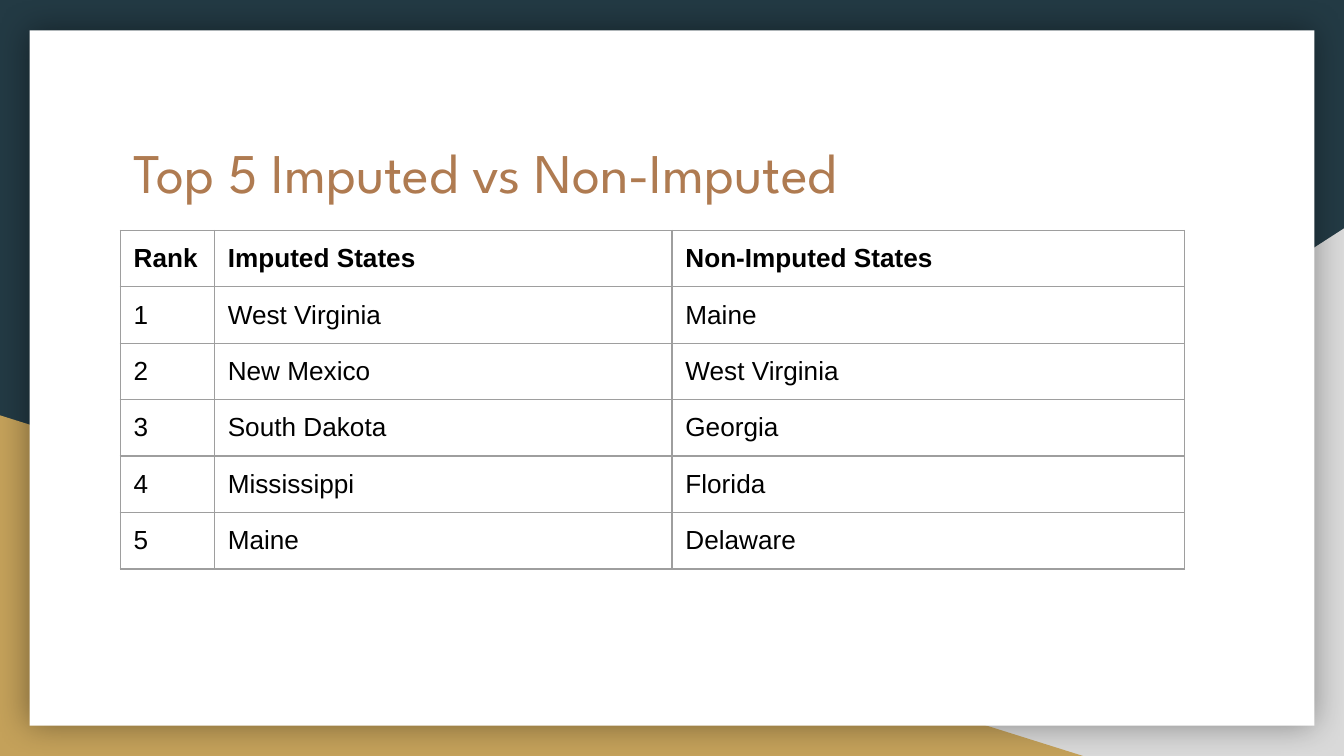
from lxml.etree import SubElement
from pptx import Presentation
from pptx.dml.color import RGBColor
from pptx.enum.shapes import MSO_SHAPE
from pptx.enum.text import MSO_ANCHOR, PP_ALIGN
from pptx.oxml import parse_xml
from pptx.oxml.ns import nsdecls, qn
from pptx.util import Pt

PX = 4572  # 200 px to the inch
PAGE = (0, 0, 2000, 1125)
MARGIN = 20
COLUMNS = (140, 681, 763)
ROW_HEIGHT = 84
ROWS = (
    ("Rank", "Imputed States", "Non-Imputed States"),
    ("1", "West Virginia", "Maine"),
    ("2", "New Mexico", "West Virginia"),
    ("3", "South Dakota", "Georgia"),
    ("4", "Mississippi", "Florida"),
    ("5", "Maine", "Delaware"),
)


def color(value):
    return RGBColor.from_string(value)


def emu(*lengths):
    return [length * PX for length in lengths]


def format_text(para, font, size, fill, bold=False):
    for span in para.runs:
        span.font.name = font
        span.font.size = Pt(size)
        span.font.bold = bold
        span.font.color.rgb = color(fill)


def add_plain_shape(page, kind, box, fill):
    shape = page.shapes.add_shape(kind, *emu(*box))
    shape.shadow.inherit = False
    shape.fill.solid()
    shape.fill.fore_color.rgb = color(fill)
    shape.line.fill.background()
    return shape


def add_glow_shadow(shape, blur, opacity):
    effects = shape._element.spPr.find(qn("a:effectLst"))
    shadow = SubElement(effects, qn("a:outerShdw"), blurRad=str(Pt(blur)),
                        dist="0", dir="0", algn="ctr", rotWithShape="0")
    tint = SubElement(shadow, qn("a:srgbClr"), val="000000")
    SubElement(tint, qn("a:alpha"), val=str(opacity * 1000))


def add_backdrop(page, box):
    left, top, width, height = box
    page.background.fill.solid()
    page.background.fill.fore_color.rgb = color("233A44")

    # Corner triangles sit on the bottom edge
    right_corner = add_plain_shape(
        page, MSO_SHAPE.RIGHT_TRIANGLE,
        (left + width - 1216, top + height - 785, 1216, 785), "D9D9D9")
    right_corner._element.spPr.xfrm.set("flipH", "1")
    add_plain_shape(page, MSO_SHAPE.RIGHT_TRIANGLE,
                    (left, top + height - 507, 1612, 507), "C4A15A")

    # White card
    card = add_plain_shape(page, MSO_SHAPE.RECTANGLE,
                           (left + 44, top + 45, width - 88, height - 90), "FFFFFF")
    add_glow_shadow(card, blur=18, opacity=40)


def place_title(page, box, text):
    title = page.shapes.title
    title.left, title.top, title.width, title.height = emu(*box)
    page.shapes._spTree.append(title._element)  # in front of the backdrop
    frame = title.text_frame
    frame.text = text
    frame.word_wrap = True
    frame.vertical_anchor = MSO_ANCHOR.TOP
    frame.margin_left = frame.margin_right = MARGIN * PX
    frame.margin_top = frame.margin_bottom = MARGIN * PX
    para = frame.paragraphs[0]
    para.alignment = PP_ALIGN.LEFT
    para.line_spacing = 1.0
    format_text(para, "League Spartan", 30, "AF7B51")


def set_borders(cell, line_color, points):
    properties = cell._tc.get_or_add_tcPr()
    for position, side in enumerate(("lnL", "lnR", "lnT", "lnB")):
        properties.insert(position, parse_xml(
            f'<a:{side} {nsdecls("a")} w="{Pt(points)}"><a:solidFill>'
            f'<a:srgbClr val="{line_color}"/></a:solidFill></a:{side}>'))


def add_ranking(page, left, top):
    box = (left, top, sum(COLUMNS), ROW_HEIGHT * len(ROWS))
    table = page.shapes.add_table(len(ROWS), len(COLUMNS), *emu(*box)).table
    table.horz_banding = False
    for column, width in zip(table.columns, COLUMNS):
        column.width = width * PX
    for index, (row, texts) in enumerate(zip(table.rows, ROWS)):
        row.height = ROW_HEIGHT * PX
        for cell, text in zip(row.cells, texts):
            cell.text = text
            cell.fill.background()
            cell.margin_left = cell.margin_right = MARGIN * PX
            cell.margin_top = cell.margin_bottom = MARGIN * PX
            format_text(cell.text_frame.paragraphs[0], "Arial", 14, "000000",
                        bold=index == 0)
            set_borders(cell, "9E9E9E", 0.75)


def main():
    deck = Presentation()
    deck.slide_width, deck.slide_height = emu(*PAGE[2:])
    page = deck.slides.add_slide(deck.slide_layouts[5])
    add_backdrop(page, PAGE)
    place_title(page, (179, 185, 1642, 208), "Top 5 Imputed vs Non-Imputed")
    add_ranking(page, 179, 343)
    deck.save("out.pptx")


if __name__ == "__main__":
    main()
